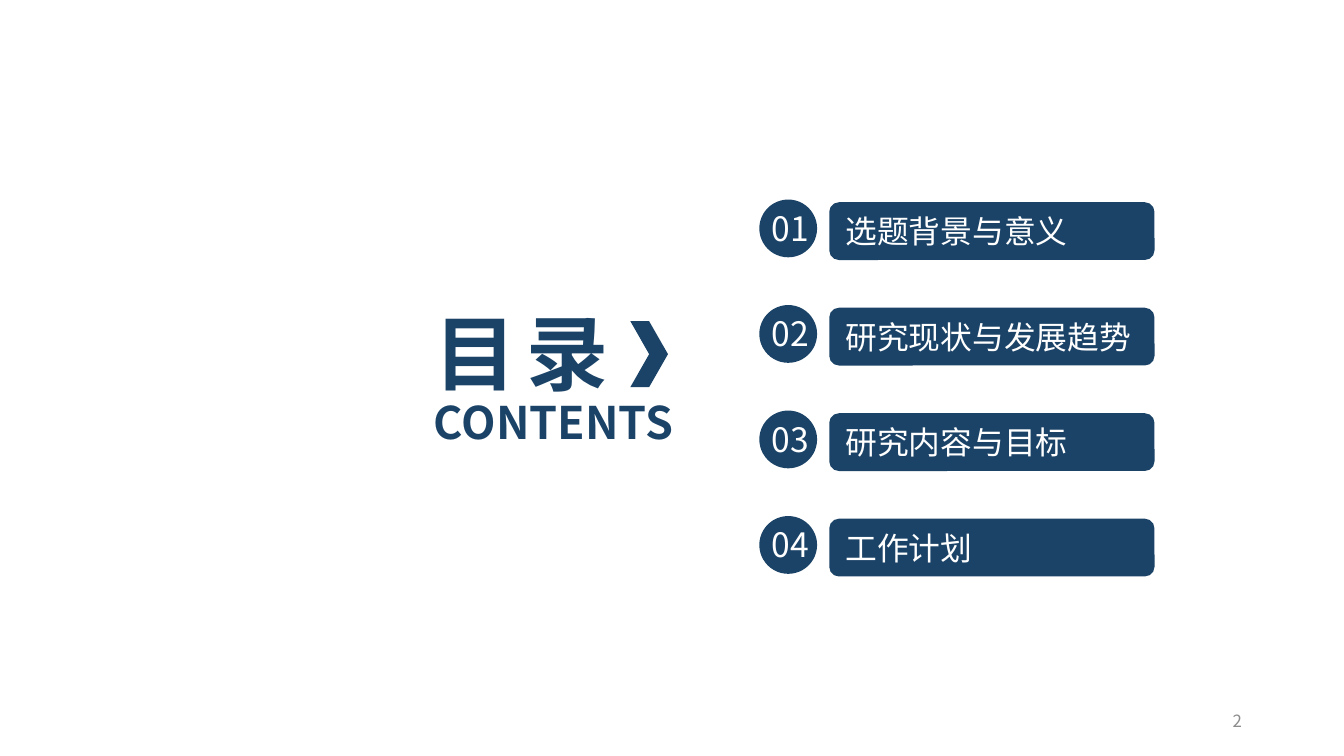
from lxml import etree
from pptx import Presentation
from pptx.dml.color import RGBColor
from pptx.enum.shapes import MSO_SHAPE
from pptx.enum.text import MSO_ANCHOR, MSO_AUTO_SIZE, PP_ALIGN
from pptx.oxml.ns import qn
from pptx.util import Inches, Pt

LEFT, CENTER, RIGHT = PP_ALIGN.LEFT, PP_ALIGN.CENTER, PP_ALIGN.RIGHT
MIDDLE = MSO_ANCHOR.MIDDLE
NO_FIT = MSO_AUTO_SIZE.NONE
BAR, DISC, CHEVRON = MSO_SHAPE.ROUNDED_RECTANGLE, MSO_SHAPE.OVAL, MSO_SHAPE.CHEVRON

COLORS = {"navy": "1B4367", "white": "FFFFFF", "gray": "8C8C8C"}
FONT = "Noto Sans CJK SC"
CELL = 0.1
COLUMNS, ROWS = 100, 56.25
TITLE_ONLY = 5

CHAPTERS = ["选题背景与意义", "研究现状与发展趋势", "研究内容与目标", "工作计划"]
FIRST_ROW, ROW_STEP = 14.85, 7.85


def grid(*cells):
    return [Inches(round(cell * CELL, 4)) for cell in cells]


def write(shape, text, size=17, color="white", bold=False, align=LEFT, spacing=None, inset=1):
    frame = shape.text_frame
    frame.word_wrap = True
    frame.auto_size = NO_FIT
    frame.vertical_anchor = MIDDLE
    frame.margin_left, frame.margin_right = grid(inset, inset)
    paragraph = frame.paragraphs[0]
    paragraph.alignment = align
    run = paragraph.add_run()
    run.text = text
    font = run.font
    font.size, font.bold, font.name = Pt(size), bold, FONT
    font.color.rgb = RGBColor.from_string(COLORS[color])
    properties = run._r.get_or_add_rPr()
    etree.SubElement(properties, qn("a:ea"), typeface=FONT)
    if spacing is not None:
        properties.set("spc", str(round(spacing * 100)))


class ContentsSlide:
    """Style and drawing methods for the contents slide, on a grid of 0.1 inch cells."""

    def __init__(self, deck):
        self.slide = deck.slides.add_slide(deck.slide_layouts[TITLE_ONLY])

    def title(self, text, box, **style):
        heading = self.slide.shapes.title
        heading.left, heading.top, heading.width, heading.height = grid(*box)
        write(heading, text, **style)

    def label(self, text, box, parent=None, **style):
        caption = (parent or self.slide).shapes.add_textbox(*grid(*box))
        write(caption, text, **style)

    def solid(self, kind, box, parent=None, color="navy"):
        solid = (parent or self.slide).shapes.add_shape(kind, *grid(*box))
        solid.shadow.inherit = False
        solid.fill.solid()
        solid.fill.fore_color.rgb = RGBColor.from_string(COLORS[color])
        solid.line.fill.background()
        return solid

    def chapter(self, number, name, row):
        write(self.solid(BAR, (61.7, row + 0.2, 24.2, 4.3)), name)
        badge = self.slide.shapes.add_group_shape()
        self.solid(DISC, (56.5, row, 4.3, 4.3), badge)
        self.label(f"{number:02}", (56.2, row + 0.1, 5.2, 4), badge, size=18, align=CENTER)


def main():
    deck = Presentation()
    deck.slide_width, deck.slide_height = grid(COLUMNS, ROWS)
    contents = ContentsSlide(deck)
    contents.title("目 录", (31.3, 22, 23.5, 8.4), size=44, color="navy", bold=True, spacing=-2.2)
    contents.label("CONTENTS", (31.3, 28.9, 23.1, 5), size=24, color="navy", bold=True)
    for index, name in enumerate(CHAPTERS):
        contents.chapter(index + 1, name, FIRST_ROW + index * ROW_STEP)
    contents.solid(CHEVRON, (46.9, 23.9, 2.8, 4.9))
    contents.label("2", (70.6, 52.1, 22.5, 3), size=9, color="gray", align=RIGHT, inset=0.7)
    deck.save("out.pptx")


if __name__ == "__main__":
    main()
